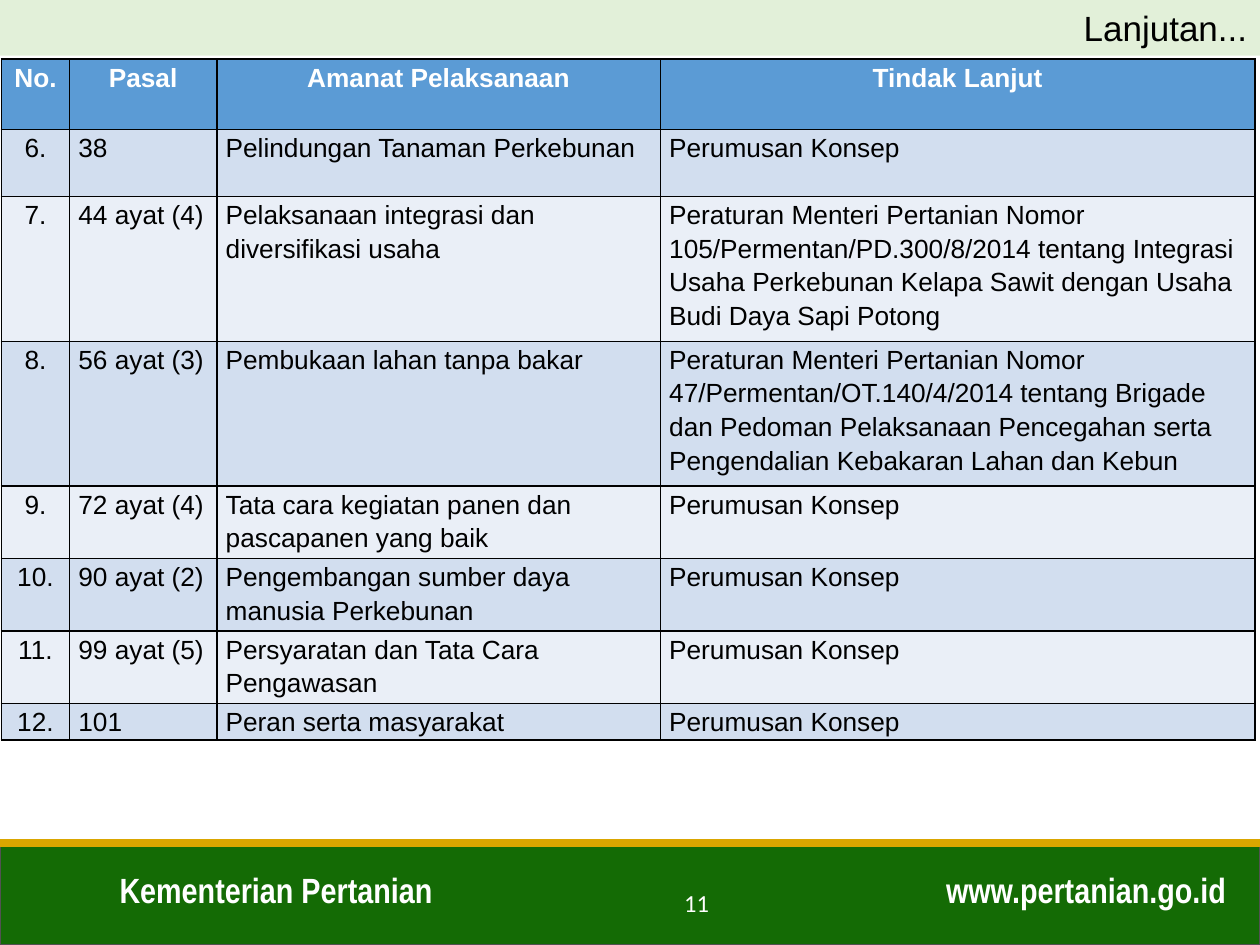
from typing import NamedTuple

from lxml.etree import SubElement
from pptx import Presentation
from pptx.dml.color import RGBColor
from pptx.enum.shapes import MSO_CONNECTOR, MSO_SHAPE
from pptx.enum.text import MSO_ANCHOR, MSO_AUTO_SIZE, PP_ALIGN as Align
from pptx.oxml import parse_xml
from pptx.oxml.ns import nsdecls, qn
from pptx.util import Cm, Pt

WHITE = RGBColor(0xFF, 0xFF, 0xFF)
BLACK = RGBColor(0, 0, 0)
GREEN = RGBColor(0x14, 0x6B, 0x05)
GREY = RGBColor(0x52, 0x52, 0x52)
GOLD = RGBColor(0xDA, 0xA6, 0x00)
PALE_GREEN = RGBColor(0xE2, 0xF0, 0xD9)
HEADER_BLUE = RGBColor(0x5B, 0x9B, 0xD5)
BAND_DARK = RGBColor(0xD2, 0xDE, 0xEF)
BAND_LIGHT = RGBColor(0xEA, 0xEF, 0xF7)

SLIDE_WIDTH, SLIDE_HEIGHT = 25.4, 19.05
FOOTER_TOP = 17


class Mandate(NamedTuple):
    number: str
    article: str
    mandate: str
    follow_up: str
    height: float


class FooterText(NamedTuple):
    text: str
    left: float
    top: float
    width: float
    height: float
    align: Align
    font: str
    size: int
    bold: bool


DRAFTING = "Perumusan Konsep"
HEADER = Mandate("No.", "Pasal", "Amanat Pelaksanaan", "Tindak Lanjut", 1.42)
MANDATES = [
    Mandate("6.", "38", "Pelindungan Tanaman Perkebunan", DRAFTING, 1.35),
    Mandate("7.", "44 ayat (4)", "Pelaksanaan integrasi dan diversifikasi usaha",
            "Peraturan Menteri Pertanian Nomor 105/Permentan/PD.300/8/2014 tentang "
            "Integrasi Usaha Perkebunan Kelapa Sawit dengan Usaha Budi Daya Sapi Potong", 2.74),
    Mandate("8.", "56 ayat (3)", "Pembukaan lahan tanpa bakar",
            "Peraturan Menteri Pertanian Nomor 47/Permentan/OT.140/4/2014 tentang "
            "Brigade dan Pedoman Pelaksanaan Pencegahan serta Pengendalian Kebakaran "
            "Lahan dan Kebun", 2.74),
    Mandate("9.", "72 ayat (4)", "Tata cara kegiatan panen dan pascapanen yang baik", DRAFTING, 1.35),
    Mandate("10.", "90 ayat (2)", "Pengembangan sumber daya manusia Perkebunan", DRAFTING, 1.35),
    Mandate("11.", "99 ayat (5)", "Persyaratan dan Tata Cara Pengawasan", DRAFTING, 1.35),
    Mandate("12.", "101", "Peran serta masyarakat", DRAFTING, 0.64),
]
COLUMN_WIDTHS = [1.37, 2.97, 8.94, 11.99]
COLUMN_ALIGNS = [Align.CENTER, Align.JUSTIFY, Align.LEFT, Align.LEFT]
FOOTER_TEXTS = [
    FooterText("Kementerian Pertanian", 2.16, 17.37, 9.3, 1.12, Align.LEFT, "Arial Narrow", 20, True),
    FooterText("www.pertanian.go.id", 17.91, 17.37, 7.06, 1.12, Align.RIGHT, "Arial Narrow", 20, True),
    FooterText("11", 13.41, 17.65, 1.27, 1.09, Align.CENTER, "Calibri", 14, False),
]


def add_run(paragraph, text: str, font: str, size: int, color: RGBColor, bold: bool = False) -> None:
    run = paragraph.add_run()
    run.text = text
    run.font.name = font
    run.font.size = Pt(size)
    run.font.bold = bold
    run.font.color.rgb = color


def draw_title(slide, text: str) -> None:
    title = slide.shapes.title
    title.left, title.top, title.width, title.height = Cm(0), Cm(0), Cm(SLIDE_WIDTH), Cm(1.12)
    title.fill.solid()
    title.fill.fore_color.rgb = PALE_GREEN
    frame = title.text_frame
    frame.auto_size = MSO_AUTO_SIZE.NONE
    frame.vertical_anchor = MSO_ANCHOR.MIDDLE
    frame.paragraphs[0].alignment = Align.RIGHT
    add_run(frame.paragraphs[0], text, "Arial", 20, BLACK)


def draw_footer(slide) -> None:
    band = slide.shapes.add_shape(MSO_SHAPE.RECTANGLE, Cm(0), Cm(FOOTER_TOP),
                                  Cm(SLIDE_WIDTH), Cm(SLIDE_HEIGHT - FOOTER_TOP))
    band.shadow.inherit = False
    band.fill.solid()
    band.fill.fore_color.rgb = GREEN
    band.line.color.rgb = GREY
    band.line.width = Pt(1)
    for item in FOOTER_TEXTS:
        draw_footer_text(slide, item)
    rule = slide.shapes.add_connector(MSO_CONNECTOR.STRAIGHT, Cm(0), Cm(FOOTER_TOP),
                                      Cm(SLIDE_WIDTH), Cm(FOOTER_TOP))
    rule.line.color.rgb = GOLD
    rule.line.width = Pt(4.5)
    SubElement(rule.element.spPr, qn("a:effectLst"))


def draw_footer_text(slide, item: FooterText) -> None:
    frame = slide.shapes.add_textbox(Cm(item.left), Cm(item.top),
                                     Cm(item.width), Cm(item.height)).text_frame
    frame.word_wrap = True
    frame.vertical_anchor = MSO_ANCHOR.MIDDLE
    frame.paragraphs[0].alignment = item.align
    add_run(frame.paragraphs[0], item.text, item.font, item.size, WHITE, item.bold)


def style_cell(cell, fill: RGBColor) -> None:
    properties = cell._tc.get_or_add_tcPr()
    for side in ("lnL", "lnR", "lnT", "lnB"):
        properties.append(parse_xml(
            f'<a:{side} {nsdecls("a")} w="{Pt(1)}"><a:solidFill>'
            f'<a:srgbClr val="{BLACK}"/></a:solidFill></a:{side}>'))
    cell.fill.solid()
    cell.fill.fore_color.rgb = fill
    cell.margin_left = cell.margin_right = Cm(0.18)
    cell.margin_top = cell.margin_bottom = Cm(0)


def draw_mandates(slide) -> None:
    rows = [HEADER, *MANDATES]
    table_height = Cm(13.72)
    holder = slide.shapes.add_table(len(rows), len(COLUMN_WIDTHS), Cm(0.03), Cm(1.19),
                                    Cm(sum(COLUMN_WIDTHS)), table_height)
    table = holder.table
    for column, width in zip(table.columns, COLUMN_WIDTHS):
        column.width = Cm(width)
    for index, mandate in enumerate(rows):
        is_header = index == 0
        fill = HEADER_BLUE if is_header else (BAND_LIGHT, BAND_DARK)[index % 2]
        table.rows[index].height = Cm(mandate.height)
        for cell, text, align in zip(table.rows[index].cells, mandate[:4], COLUMN_ALIGNS):
            style_cell(cell, fill)
            paragraph = cell.text_frame.paragraphs[0]
            paragraph.alignment = Align.CENTER if is_header else align
            paragraph.line_spacing = 1.15
            paragraph.space_after = Pt(6)
            add_run(paragraph, text, "Arial", 15, WHITE if is_header else BLACK, is_header)
    holder.height = table_height


def main() -> None:
    deck = Presentation()
    deck.slide_width, deck.slide_height = Cm(SLIDE_WIDTH), Cm(SLIDE_HEIGHT)
    slide = deck.slides.add_slide(deck.slide_layouts[5])
    draw_title(slide, "Lanjutan...")
    draw_footer(slide)
    draw_mandates(slide)
    deck.save("out.pptx")


if __name__ == "__main__":
    main()
